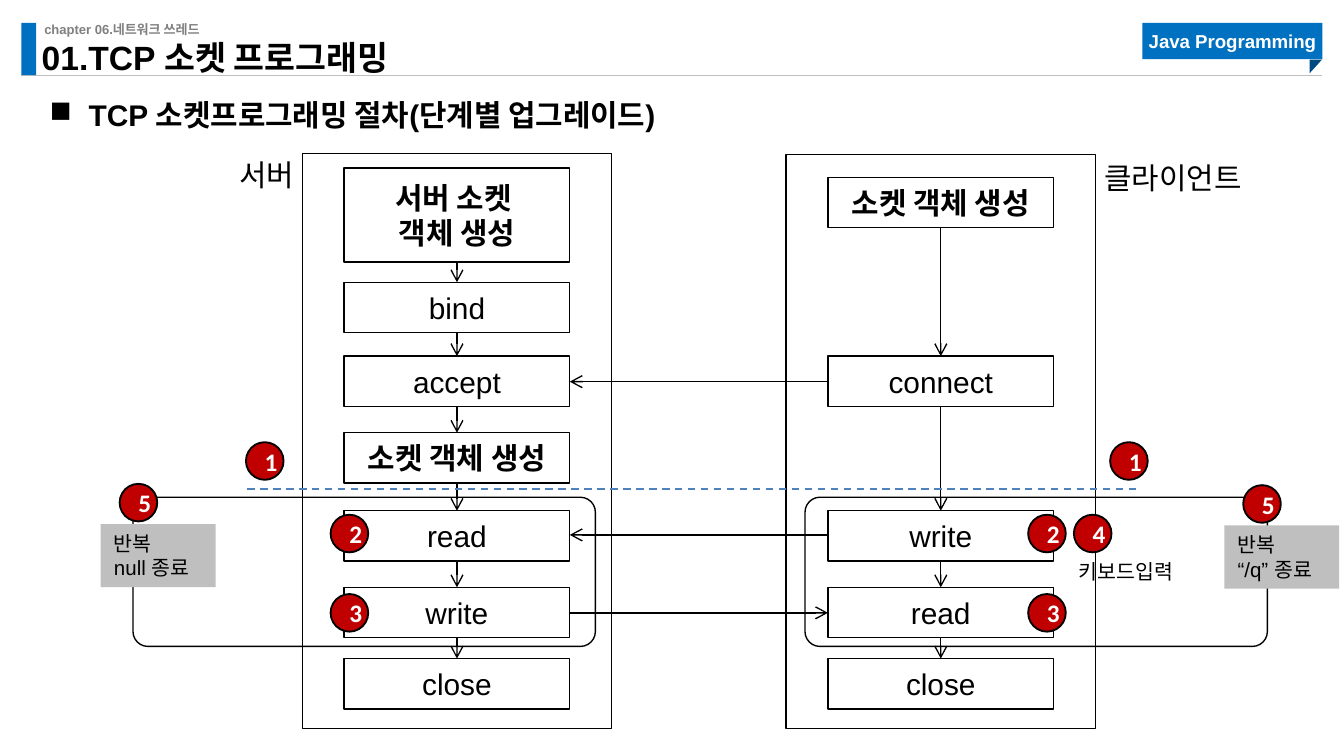
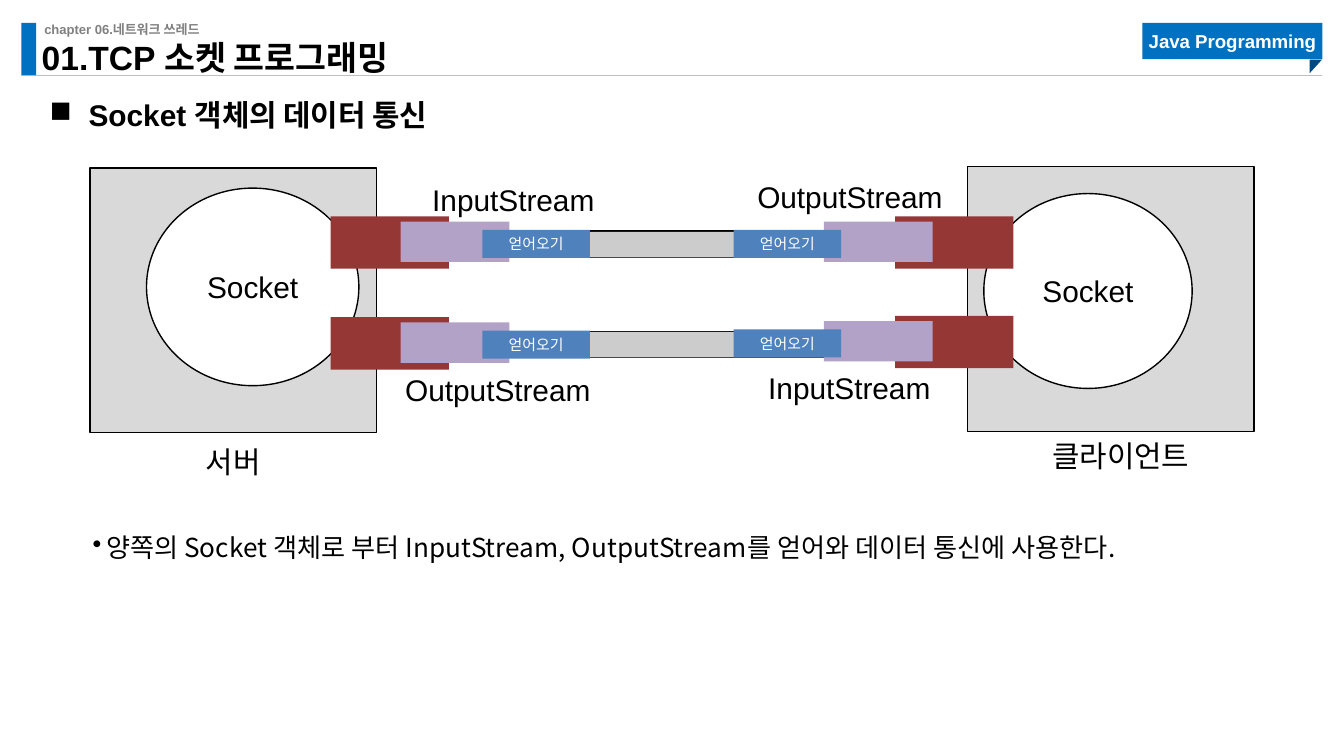
from dataclasses import dataclass
from typing import NamedTuple

from pptx import Presentation
from pptx.dml.color import RGBColor
from pptx.enum.dml import MSO_LINE
from pptx.enum.shapes import MSO_CONNECTOR, MSO_SHAPE
from pptx.enum.text import MSO_ANCHOR, MSO_AUTO_SIZE, PP_ALIGN
from pptx.oxml.ns import qn
from pptx.oxml.xmlchemy import OxmlElement
from pptx.slide import Slide
from pptx.text.text import TextFrame
from pptx.util import Emu, Inches, Pt

RECT, OVAL = MSO_SHAPE.RECTANGLE, MSO_SHAPE.OVAL
ROUND, WEDGE = MSO_SHAPE.ROUNDED_RECTANGLE, MSO_SHAPE.RIGHT_TRIANGLE
LEFT, MID, RIGHT = PP_ALIGN.LEFT, PP_ALIGN.CENTER, PP_ALIGN.RIGHT
TOP, CENTER, BASE = MSO_ANCHOR.TOP, MSO_ANCHOR.MIDDLE, MSO_ANCHOR.BOTTOM
DASH = MSO_LINE.DASH

# The grid: 100 columns by 56.25 rows of square cells
COLS, ROWS = 100, 56.25
CELL = Inches(10) / COLS
TITLE_ONLY = 5


@dataclass(frozen=True)
class Theme:
    blue: str = "0070C0"
    navy: str = "004A82"
    steel: str = "4F81BD"
    red: str = "C00000"
    brick: str = "953735"
    mauve: str = "B3A2C7"
    black: str = "000000"
    white: str = "FFFFFF"
    gray: str = "808080"
    rule: str = "BFBFBF"
    panel: str = "D9D9D9"
    pipe: str = "CCCCCC"
    sans: str = "Arial"
    digit: str = "Calibri"
    hangul: str = "Noto Sans CJK KR"
    title: float = 18
    text: float = 16
    body: float = 14
    badge: float = 13.5
    note: float = 11
    tag: float = 10
    tiny: float = 8
    crumb: float = 7
    thin: float = 0.75


T = Theme()


class Box(NamedTuple):
    x: float
    y: float
    w: float
    h: float


@dataclass(frozen=True)
class Style:
    size: float = T.text
    color: str = T.black
    bold: bool = False
    face: str = T.sans
    align: PP_ALIGN = MID
    anchor: MSO_ANCHOR = CENTER
    inset: tuple[float, ...] = (0, 0, 0, 0)  # left, top, right, bottom
    space: float | None = None
    wrap: bool = True


@dataclass(frozen=True)
class Bullet:
    mark: str
    margin: float
    hang: float


class Step(NamedTuple):
    text: str
    y: float
    h: float = 3.75
    bold: bool = False


class Badge(NamedTuple):
    text: str
    x: float
    y: float


PAD = (1, 0.5, 1, 0.5)
PLAIN = Style()
BOLD = Style(bold=True)
TITLE = Style(T.title, bold=True, align=LEFT, anchor=BASE, space=0.9)
CRUMB = Style(T.crumb, T.gray, True, align=LEFT, anchor=TOP)
TAG = Style(T.tag, T.white, True)
HEAD = Style(bold=True, align=LEFT, anchor=TOP, space=1.5)
NOTE = Style(T.note, align=LEFT, anchor=TOP, inset=PAD)
COUNT = Style(T.badge, T.white, True, T.digit, inset=PAD)
GET = Style(T.tiny, T.white, inset=PAD)
LABEL = Style(anchor=TOP, inset=PAD, wrap=False)
BODY = Style(T.body, face=T.hangul, align=LEFT, anchor=TOP,
             inset=(1.2, 0, 1, 0.5), space=1.2)


# Basic parts
def cells(n: float) -> Emu:
    return Emu(round(n * CELL))


def rgb(code: str) -> RGBColor:
    return RGBColor.from_string(code)


def write(frame: TextFrame, text: str, style: Style,
          bullet: Bullet | None = None) -> None:
    frame.auto_size = MSO_AUTO_SIZE.NONE
    frame.word_wrap = style.wrap
    frame.vertical_anchor = style.anchor
    (frame.margin_left, frame.margin_top,
     frame.margin_right, frame.margin_bottom) = map(cells, style.inset)
    frame.text = text
    for para in frame.paragraphs:
        para.alignment = style.align
        if style.space:
            para.line_spacing = style.space
        if bullet:
            props = para._p.get_or_add_pPr()
            props.set("marL", str(cells(bullet.margin)))
            props.set("indent", str(-cells(bullet.hang)))
            mark = OxmlElement("a:buChar")
            mark.set("char", bullet.mark)
            props.append(mark)
        font = para.font
        font.name, font.size, font.bold = style.face, Pt(style.size), style.bold
        font.color.rgb = rgb(style.color)


def label(slide: Slide, box: Box, text: str, style: Style,
          bullet: Bullet | None = None) -> None:
    area = slide.shapes.add_textbox(*map(cells, box))
    write(area.text_frame, text, style, bullet)


def block(slide: Slide, box: Box, fill: str | None = None,
          edge: str | None = None, text: str = "", style: Style = PLAIN,
          kind: MSO_SHAPE = RECT, width: float = T.thin,
          turn: float = 0, curve: float | None = None) -> None:
    shape = slide.shapes.add_shape(kind, *map(cells, box))
    shape.shadow.inherit = False
    shape.rotation = turn
    if curve is not None:
        shape.adjustments[0] = curve
    if fill:
        shape.fill.solid()
        shape.fill.fore_color.rgb = rgb(fill)
    else:
        shape.fill.background()
    if edge:
        shape.line.color.rgb = rgb(edge)
        shape.line.width = Pt(width)
    else:
        shape.line.fill.background()
    if text:
        write(shape.text_frame, text, style)


def wire(slide: Slide, x1: float, y1: float, x2: float, y2: float,
         color: str = T.black, width: float = T.thin,
         arrow: bool = False, dash: bool = False) -> None:
    line = slide.shapes.add_connector(
        MSO_CONNECTOR.STRAIGHT, *map(cells, (x1, y1, x2, y2)))
    line.line.color.rgb = rgb(color)
    line.line.width = Pt(width)
    if dash:
        line.line.dash_style = DASH
    props = line.element.spPr
    if arrow:
        tip = OxmlElement("a:tailEnd")
        tip.set("type", "arrow")
        props.find(qn("a:ln")).append(tip)
    props.append(OxmlElement("a:effectLst"))


# What both slides share
def start(deck: Presentation, head: str) -> Slide:
    slide = deck.slides.add_slide(deck.slide_layouts[TITLE_ONLY])
    wire(slide, 1.6, 5.6, 98.4, 5.6, T.rule, 0.5)
    block(slide, Box(1.6, 1.7, 1.1, 3.9), T.blue)
    label(slide, Box(3.3, 1.6, 32.3, 1.2), "chapter 06.네트워크 쓰레드", CRUMB)
    block(slide, Box(85, 1.7, 13.4, 2.7), T.blue,
          text="Java Programming", style=TAG)
    block(slide, Box(97.4, 4.5, 1, 0.9), T.navy, kind=WEDGE, turn=90)
    title = slide.shapes.title
    title.left, title.top, title.width, title.height = map(
        cells, Box(3.1, 3.5, 33, 2.3))
    write(title.text_frame, "01.TCP 소켓 프로그래밍", TITLE)
    label(slide, Box(3.7, 5.9, 95.4, 3.3), head, HEAD, Bullet("■", 2.9, 2.9))
    return slide


# Slide 1: the steps of each side
STEP_W = 16.8
SERVER, CLIENT = 25.6, 61.6
SERVER_STEPS = [
    Step("서버 소켓 \n객체 생성", 12.5, 7, True), Step("bind", 21),
    Step("accept", 26.5), Step("소켓 객체 생성", 32.2, bold=True),
    Step("read", 38), Step("write", 43.7), Step("close", 49)]
CLIENT_STEPS = [
    Step("소켓 객체 생성", 13.2, bold=True), Step("connect", 26.5),
    Step("write", 38), Step("read", 43.7), Step("close", 49)]
BADGES = [
    Badge("1", 18.3, 32.9), Badge("1", 82.6, 32.9),
    Badge("2", 24.6, 38.3), Badge("2", 76.5, 38.3),
    Badge("3", 24.6, 44.2), Badge("3", 76.5, 44.2),
    Badge("4", 79.9, 38.3), Badge("5", 8.9, 36), Badge("5", 92.5, 36.1)]


def lane(slide: Slide, x: float, top: float, steps: list[Step]) -> None:
    block(slide, Box(x - 3.1, top, 23, 54.2 - top), edge=T.black)
    for step in steps:
        block(slide, Box(x, step.y, STEP_W, step.h), edge=T.black,
              text=step.text, style=BOLD if step.bold else PLAIN)
    axis = x + STEP_W / 2
    for step, after in zip(steps, steps[1:]):
        wire(slide, axis, step.y + step.h, axis, after.y, arrow=True)


def draw_steps(deck: Presentation) -> None:
    slide = start(deck, "TCP 소켓프로그래밍 절차(단계별 업그레이드)")
    lane(slide, SERVER, 11.4, SERVER_STEPS)
    lane(slide, CLIENT, 11.5, CLIENT_STEPS)
    label(slide, Box(12.3, 11.2, 10.6, 3.7), "서버",
          Style(align=RIGHT, anchor=TOP, inset=PAD))
    label(slide, Box(81.2, 11.4, 17.9, 3.7), "클라이언트",
          Style(align=LEFT, anchor=TOP, inset=PAD))

    # Calls between the sides
    edge = SERVER + STEP_W
    for x1, x2, y in ((CLIENT, edge, 28.4), (CLIENT, edge, 39.8),
                      (edge, CLIENT, 45.6)):
        wire(slide, x1, y, x2, y, arrow=True)
    wire(slide, 18.4, 36.4, 84.8, 36.4, T.steel, 1, dash=True)

    # Loops, badges and notes
    for x in (9.9, 59.9):
        block(slide, Box(x, 37, 34.4, 11.1), edge=T.black,
              kind=ROUND, curve=0.1)
    for badge in BADGES:
        block(slide, Box(badge.x, badge.y, 2.8, 2.8), T.red, T.black,
              badge.text, COUNT, OVAL, 1)
    label(slide, Box(79.3, 41.1, 10, 2.9), "키보드입력", NOTE)
    for x, y, end in ((7.5, 39, "null"), (91.1, 39.1, "“/q”")):
        block(slide, Box(x, y, 8.55, 4.7), T.rule,
              text=f"반복\n{end} 종료", style=NOTE)


# Slide 2: the streams between two sockets
def draw_streams(deck: Presentation) -> None:
    slide = start(deck, "Socket 객체의 데이터 통신")
    for x, y, disc in ((6.7, 12.5, Box(10.9, 14, 15.8, 14.7)),
                       (72, 12.4, Box(73.2, 14.4, 15.5, 14.5))):
        block(slide, Box(x, y, 21.3, 19.7), T.panel, T.black)
        block(slide, disc, T.white, T.black, "Socket", PLAIN, OVAL)
    for box, text in (
            (Box(14.1, 32.5, 6.5, 3.7), "서버"),
            (Box(76.8, 32.1, 13.2, 3.7), "클라이언트"),
            (Box(31, 13, 14.4, 3.7), "InputStream"),
            (Box(56, 27, 14.4, 3.7), "InputStream"),
            (Box(55.1, 12.8, 16.3, 3.7), "OutputStream"),
            (Box(28.9, 27.2, 16.3, 3.7), "OutputStream")):
        label(slide, box, text, LABEL)

    # Pipes
    for y in (17.2, 24.65):
        for rim in (y, y + 1.95):
            wire(slide, 25.1, rim, 74.7, rim)
        block(slide, Box(25.1, y + 0.05, 49.6, 1.9), T.pipe)

    # Plugs at each end: socket, stream, getter
    left, right = (24.6, 29.8, 35.9), (66.6, 61.3, 54.6)
    for (base, stream, getter), y in (
            (left, 16.1), (left, 23.6), (right, 16.1), (right, 23.5)):
        block(slide, Box(base, y, 8.8, 3.9), T.brick)
        block(slide, Box(stream, y + 0.4, 8.1, 3), T.mauve)
        block(slide, Box(getter, y + 1, 8, 2.1), T.steel,
              text="얻어오기", style=GET)

    label(slide, Box(2.7, 39.1, 97.3, 5.1),
          "양쪽의 Socket 객체로 부터 InputStream, OutputStream를 "
          "얻어와 데이터 통신에 사용한다. ", BODY, Bullet("•", 4, 1))


deck = Presentation()
deck.slide_width, deck.slide_height = cells(COLS), cells(ROWS)
draw_steps(deck)
draw_streams(deck)
deck.save("out.pptx")
